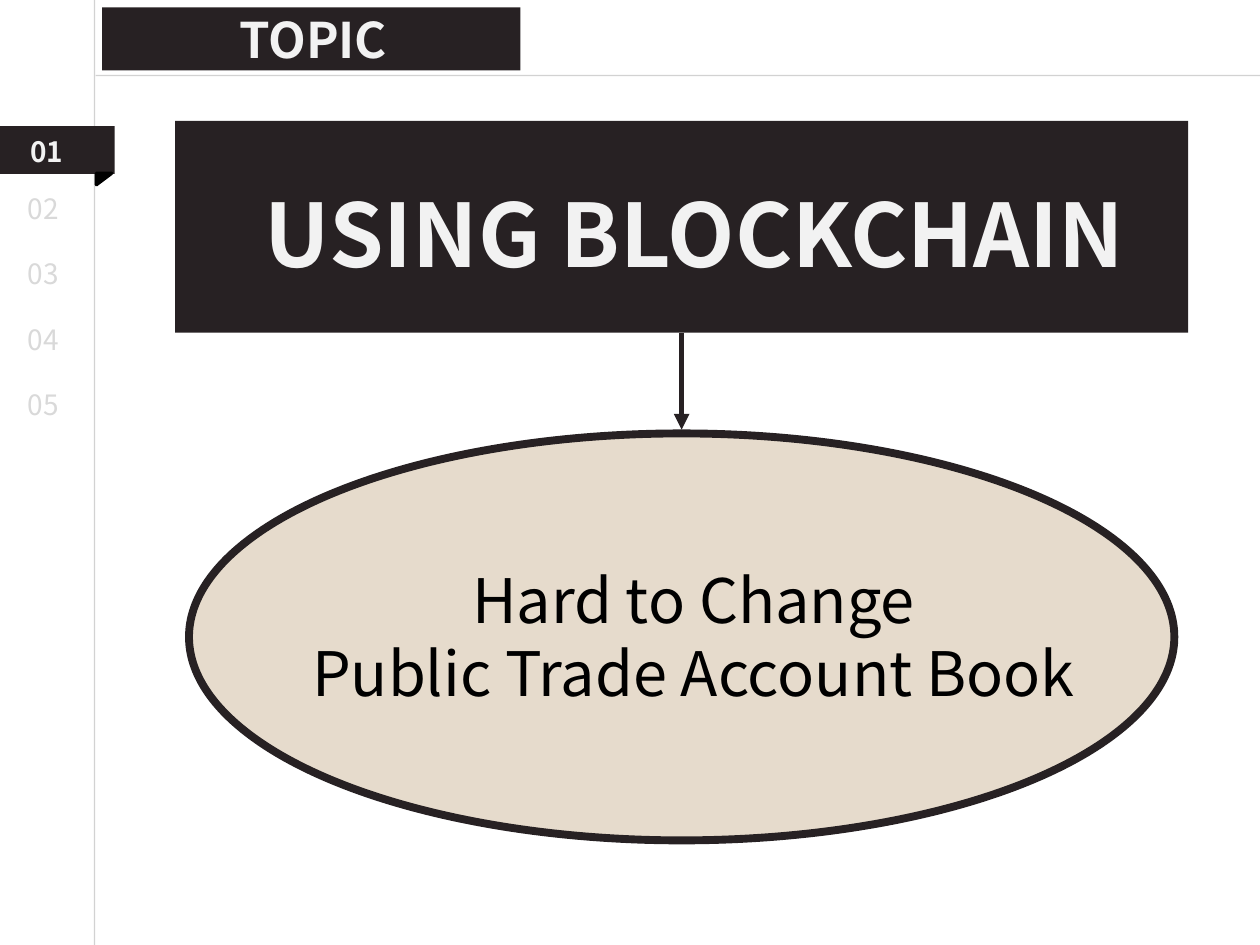
from lxml import etree
from pptx import Presentation
from pptx.dml.color import RGBColor
from pptx.enum.shapes import MSO_CONNECTOR, MSO_SHAPE
from pptx.enum.text import PP_ALIGN
from pptx.oxml import parse_xml
from pptx.oxml.ns import nsdecls, qn
from pptx.util import Inches, Pt

RECT, OVAL, WEDGE = MSO_SHAPE.RECTANGLE, MSO_SHAPE.OVAL, MSO_SHAPE.RIGHT_TRIANGLE
LINE = MSO_CONNECTOR.STRAIGHT
LEFT, MID = PP_ALIGN.LEFT, PP_ALIGN.CENTER

FONT = "Noto Sans CJK KR"
DARK = RGBColor(0x27, 0x21, 0x23)
SAND = RGBColor(0xE6, 0xDB, 0xCC)
GREY = RGBColor(0xA6, 0xA6, 0xA6)
PALE = RGBColor(0xD9, 0xD9, 0xD9)
SNOW = RGBColor(0xF2, 0xF2, 0xF2)
BLACK = RGBColor(0, 0, 0)

deck = Presentation()
deck.slide_width, deck.slide_height = Inches(10), Inches(7.5)
slide = deck.slides.add_slide(deck.slide_layouts[6])
shapes = slide.shapes

# Grid of 100 columns and 75 rows
COL, ROW = deck.slide_width / 100, deck.slide_height / 75


def place(x, y, w, h):
    return int(x * COL), int(y * ROW), int(w * COL), int(h * ROW)


def write(text, box, size=16, color=PALE, bold=False, align=LEFT, edge=None):
    frame = shapes.add_textbox(*place(*box)).text_frame
    frame.word_wrap = True
    for i, row in enumerate(text.split("\n")):
        para = frame.paragraphs[0] if i == 0 else frame.add_paragraph()
        para.alignment = align
        run = para.add_run()
        run.text = row
        font = run.font
        font.name, font.size, font.bold = FONT, Pt(size), bold
        font.color.rgb = color
        props = run._r.get_or_add_rPr()
        etree.SubElement(props, qn("a:ea"), typeface=FONT)
        if edge is not None:
            props.insert(0, parse_xml(
                f'<a:ln {nsdecls("a")} w="9525"><a:solidFill><a:srgbClr val="{edge}">'
                '<a:alpha val="30000"/></a:srgbClr></a:solidFill></a:ln>'))


# Frame lines, half transparent
for x1, y1, x2, y2 in [(7.5, 0, 7.5, 75), (100, 6, 7.6, 6)]:
    rule = shapes.add_connector(LINE, *place(x1, y1, x2, y2))
    rule.line.color.rgb, rule.line.width = GREY, Pt(0.75)
    tint = rule.line._ln.find(".//" + qn("a:srgbClr"))
    etree.SubElement(tint, qn("a:alpha"), val="50000")
    etree.SubElement(rule._element.spPr, qn("a:effectLst"))

# Filled shapes: kind, box, fill, line colour, line width
parts = {
    "topic": (RECT, (8.1, 0.6, 33.2, 5), DARK, None, 0),
    "title": (RECT, (13.9, 9.6, 80.4, 16.8), DARK, None, 0),
    "oval": (OVAL, (15, 34.4, 78.2, 32.3), SAND, DARK, 4.5),
    "tab": (RECT, (0, 10, 9.1, 3.8), DARK, None, 0),
    "fold": (WEDGE, (7.8, 13.6, 0.9, 1.2), BLACK, BLACK, 2),
}
made = {}
for name, (kind, box, fill, edge, width) in parts.items():
    part = made[name] = shapes.add_shape(kind, *place(*box))
    part.shadow.inherit = False
    part.fill.solid()
    part.fill.fore_color.rgb = fill
    if edge is None:
        part.line.fill.background()
    else:
        part.line.color.rgb, part.line.width = edge, Pt(width)
made["fold"].rotation = 90

# Arrow from the title to the rim of the oval
arrow = shapes.add_connector(LINE, *place(54.1, 26.4, 54.1, 34.1))
arrow.begin_connect(made["title"], 2)
arrow.line.color.rgb, arrow.line.width = DARK, Pt(3)
etree.SubElement(arrow.line._ln, qn("a:tailEnd"), type="triangle")
etree.SubElement(arrow._element.spPr, qn("a:effectLst"))

# Headings and body
write("TOPIC", (7.8, 0.3, 34.1, 5.7), size=28, color=SNOW, bold=True,
      align=MID, edge=PALE)
write("USING BLOCKCHAIN", (13.9, 13.8, 82.5, 9.4), size=50, color=SNOW, bold=True,
      align=MID, edge=PALE)
write("Hard to Change\nPublic Trade Account Book", (17, 44.1, 76.1, 12.8),
      size=35, color=BLACK, align=MID)

# Side numbers
write("01", (1.4, 10.2, 5.9, 3.7), color=SNOW, bold=True, edge=PALE)
for i in range(4):
    write(f"0{i + 2}", (1.2, 14.7 + 5.2 * i, 4.9, 3.7), edge=BLACK)

deck.save("out.pptx")
